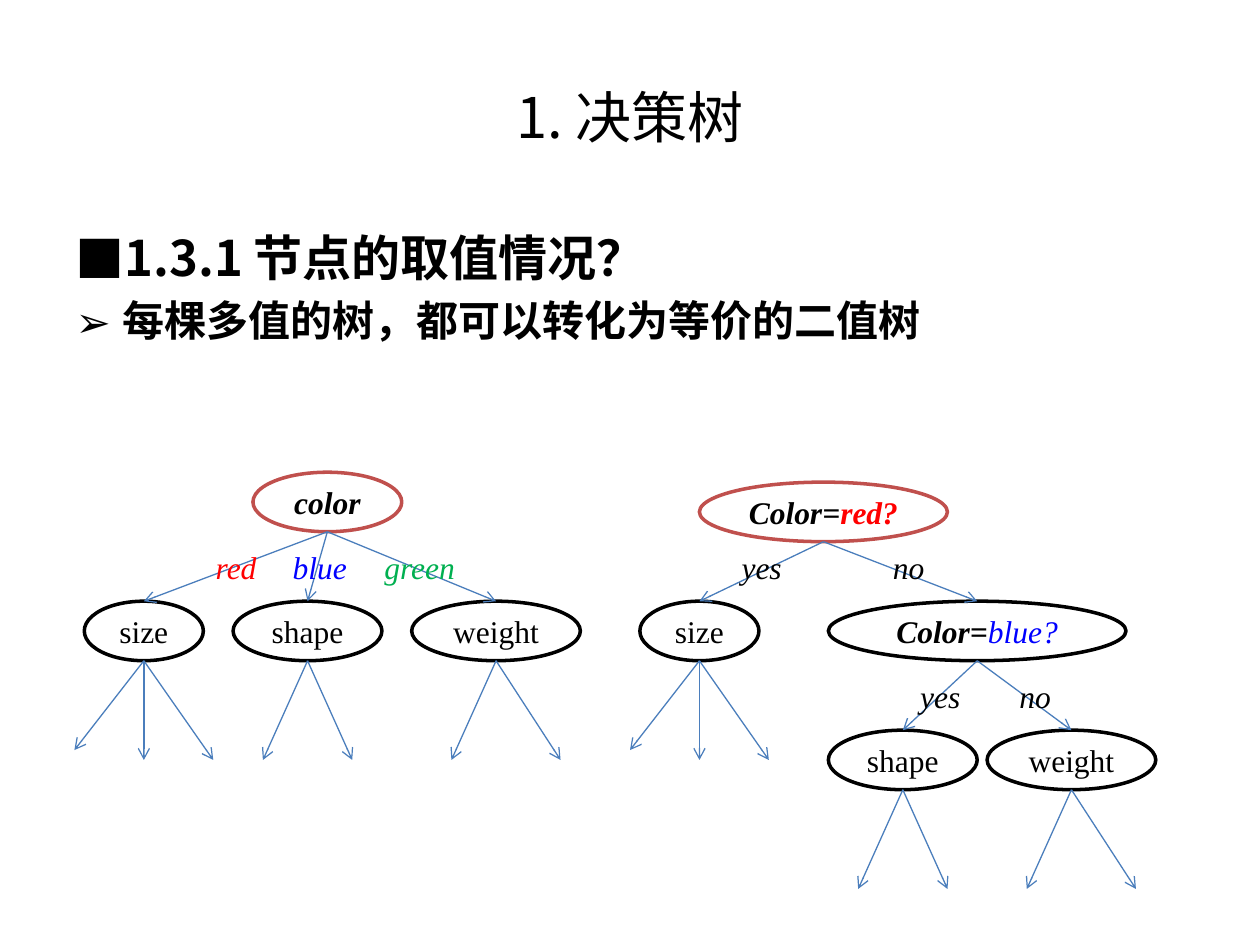
from lxml import etree
from pptx import Presentation
from pptx.dml.color import RGBColor
from pptx.enum.shapes import MSO_CONNECTOR, MSO_SHAPE
from pptx.enum.text import MSO_ANCHOR, MSO_AUTO_SIZE, PP_ALIGN
from pptx.oxml.ns import qn
from pptx.util import Cm, Pt

OVAL, STRAIGHT = MSO_SHAPE.OVAL, MSO_CONNECTOR.STRAIGHT
CENTER, MIDDLE = PP_ALIGN.CENTER, MSO_ANCHOR.MIDDLE
FIT_SHAPE = MSO_AUTO_SIZE.SHAPE_TO_FIT_TEXT

BLACK = RGBColor(0x00, 0x00, 0x00)
WHITE = RGBColor(0xFF, 0xFF, 0xFF)
RED = RGBColor(0xFF, 0x00, 0x00)
BLUE = RGBColor(0x00, 0x00, 0xFF)
GREEN = RGBColor(0x00, 0xB0, 0x50)
ROOT_RED = RGBColor(0xC0, 0x50, 0x4D)
ARROW_BLUE = RGBColor(0x4B, 0x7E, 0xBC)

CJK_FONT, TREE_FONT = "Noto Sans CJK SC", "Times New Roman"
NODE_HEIGHT, LABEL_HEIGHT = 1.2, 1.03
OVAL_BOTTOM = 4  # an ellipse has eight connection sites

# Node widths, and the ends of the open branches below a node (cm)
WIDTHS = {"size": 2.4, "shape": 3.0, "weight": 3.4}
BRANCHES = {
    "size": [(-1.4, 1.8), (0, 2), (1.4, 2)],
    "shape": [(-0.9, 2), (0.9, 2)],
    "weight": [(-0.9, 2), (1.3, 2)],
}
LABEL_WIDTHS = {"red": 1.37, "blue": 1.65, "green": 2.0, "yes": 1.37, "no": 1.14}


def add_span(para, text, size, font, color=BLACK, bold=False, italic=False):
    span = para.add_run()
    span.text = text
    span.font.size, span.font.name = Pt(size), font
    span.font.bold, span.font.italic = bold, italic
    span.font.color.rgb = color
    if font == CJK_FONT:
        east_asian = etree.Element(qn("a:ea"), typeface=font)
        span.font._element.find(qn("a:latin")).addnext(east_asian)


def set_bullet(para, symbol):
    properties = para._p.get_or_add_pPr()
    properties.set("marL", str(Cm(0.95)))
    properties.set("indent", str(Cm(-0.95)))
    etree.SubElement(properties, qn("a:buFont"), typeface=CJK_FONT)
    etree.SubElement(properties, qn("a:buChar"), char=symbol)


def place(shape, left, top, width, height):
    shape.left, shape.top = Cm(left), Cm(top)
    shape.width, shape.height = Cm(width), Cm(height)


def fill_title(page, left, top, width, height):
    title = page.shapes.title
    place(title, left, top, width, height)
    title.text_frame.vertical_anchor = MIDDLE
    para = title.text_frame.paragraphs[0]
    para.alignment = CENTER
    add_span(para, "1. 决策树", 32, CJK_FONT)


def fill_body(page, left, top, width, height):
    body = page.placeholders[1]
    place(body, left, top, width, height)
    frame = body.text_frame
    heading, point = frame.paragraphs[0], frame.add_paragraph()
    heading.space_before = Pt(0)
    set_bullet(heading, "■")
    add_span(heading, "1.3.1 节点的取值情况？", 28, CJK_FONT, bold=True)
    set_bullet(point, "➢")
    add_span(point, "每棵多值的树，都可以转化为等价的二值树", 24, CJK_FONT, bold=True)


def add_node(page, left, top, width, spans, outline=BLACK):
    """Add an oval; spans holds (text, color, bold, italic)."""
    node = page.shapes.add_shape(OVAL, Cm(left), Cm(top), Cm(width), Cm(NODE_HEIGHT))
    node.shadow.inherit = False
    node.fill.solid()
    node.fill.fore_color.rgb = WHITE
    node.line.color.rgb = outline
    node.line.width = Pt(2)
    frame = node.text_frame
    frame.vertical_anchor = MIDDLE
    frame.margin_left = frame.margin_right = 0
    frame.margin_top = frame.margin_bottom = 0
    para = frame.paragraphs[0]
    para.alignment = CENTER
    for text, color, bold, italic in spans:
        add_span(para, text, 18, TREE_FONT, color, bold, italic)
    return node


def add_arrow(page, parent, end_x=0, end_y=0, child=None):
    """Draw an arrow from below the parent to a child or a free end."""
    arrow = page.shapes.add_connector(STRAIGHT, 0, 0, end_x, end_y)
    arrow.begin_connect(parent, 2)
    start = arrow._element.find(".//" + qn("a:stCxn"))
    start.set("idx", str(OVAL_BOTTOM))
    if child is not None:
        arrow.end_connect(child, 0)
    arrow.line.color.rgb = ARROW_BLUE
    arrow.line.width = Pt(0.75)
    etree.SubElement(arrow.line._get_or_add_ln(), qn("a:tailEnd"), type="arrow")
    etree.SubElement(arrow._element.spPr, qn("a:effectLst"))


def add_leaf(page, left, top, name):
    """Add an attribute node with its open branches."""
    leaf = add_node(page, left, top, WIDTHS[name], [(name, BLACK, False, False)])
    center, bottom = leaf.left + leaf.width // 2, leaf.top + leaf.height
    for across, down in BRANCHES[name]:
        add_arrow(page, leaf, center + Cm(across), bottom + Cm(down))
    return leaf


def add_label(page, left, top, text, color=BLACK):
    label = page.shapes.add_textbox(
        Cm(left), Cm(top), Cm(LABEL_WIDTHS[text]), Cm(LABEL_HEIGHT))
    label.text_frame.word_wrap = False
    label.text_frame.auto_size = FIT_SHAPE
    add_span(label.text_frame.paragraphs[0], text, 18, TREE_FONT, color, italic=True)


def add_multiway_tree(page, left, top):
    root = add_node(page, left + 3.4, top, 3.0,
                    [("color", BLACK, True, True)], ROOT_RED)
    # Leaves in a row with equal gaps
    leaf_left = left
    for name, width in WIDTHS.items():
        leaf = add_leaf(page, leaf_left, top + 2.6, name)
        add_arrow(page, root, child=leaf)
        leaf_left += width + 0.6
    # Values on the branches
    for text, offset, color in (
            ("red", 2.4, RED), ("blue", 3.95, BLUE), ("green", 5.8, GREEN)):
        add_label(page, left + offset, top + 1.4, text, color)


def add_binary_tree(page, left, top):
    # Questions
    root = add_node(page, left + 1.2, top, 5.0,
                    [("Color=", BLACK, True, True), ("red?", RED, True, True)], ROOT_RED)
    second = add_node(page, left + 3.8, top + 2.4, 6.0,
                      [("Color=", BLACK, True, True), ("blue?", BLUE, False, True)])
    # Attributes
    size = add_leaf(page, left, top + 2.4, "size")
    shape = add_leaf(page, left + 3.8, top + 5, "shape")
    weight = add_leaf(page, left + 7, top + 5, "weight")
    # Answers
    for parent, child in ((root, size), (root, second), (second, shape), (second, weight)):
        add_arrow(page, parent, child=child)
    for text, across, down in (
            ("yes", 1.8, 1.2), ("no", 4.85, 1.2), ("yes", 5.4, 3.8), ("no", 7.4, 3.8)):
        add_label(page, left + across, top + down, text)


def main():
    deck = Presentation()
    deck.slide_width, deck.slide_height = Cm(25.4), Cm(19.05)
    page = deck.slides.add_slide(deck.slide_layouts[1])
    fill_title(page, 1.27, 0.76, 22.86, 3.18)
    fill_body(page, 1.27, 4.45, 22.86, 12.57)
    add_multiway_tree(page, 1.7, 9.52)
    add_binary_tree(page, 12.9, 9.72)
    deck.save("out.pptx")


if __name__ == "__main__":
    main()
